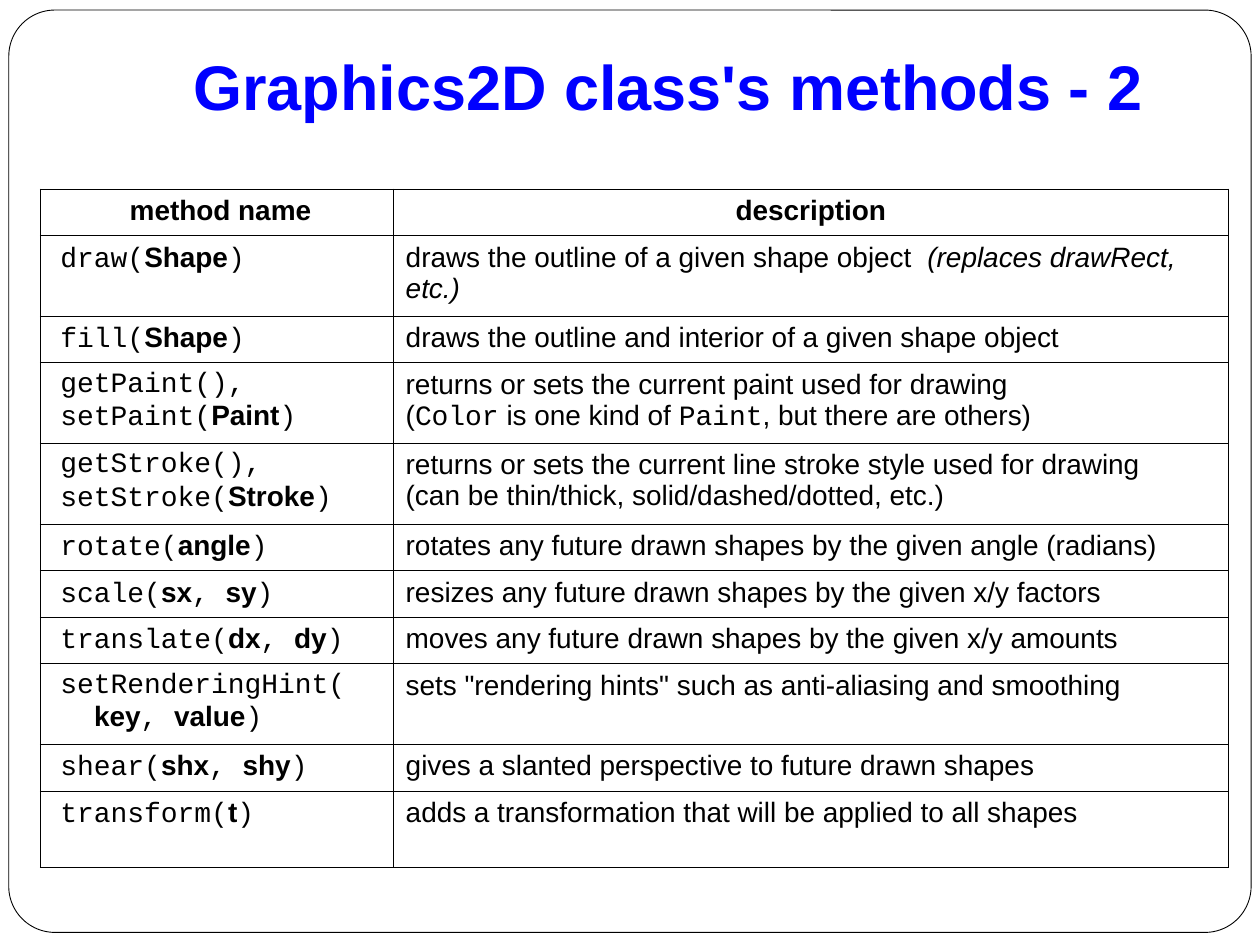
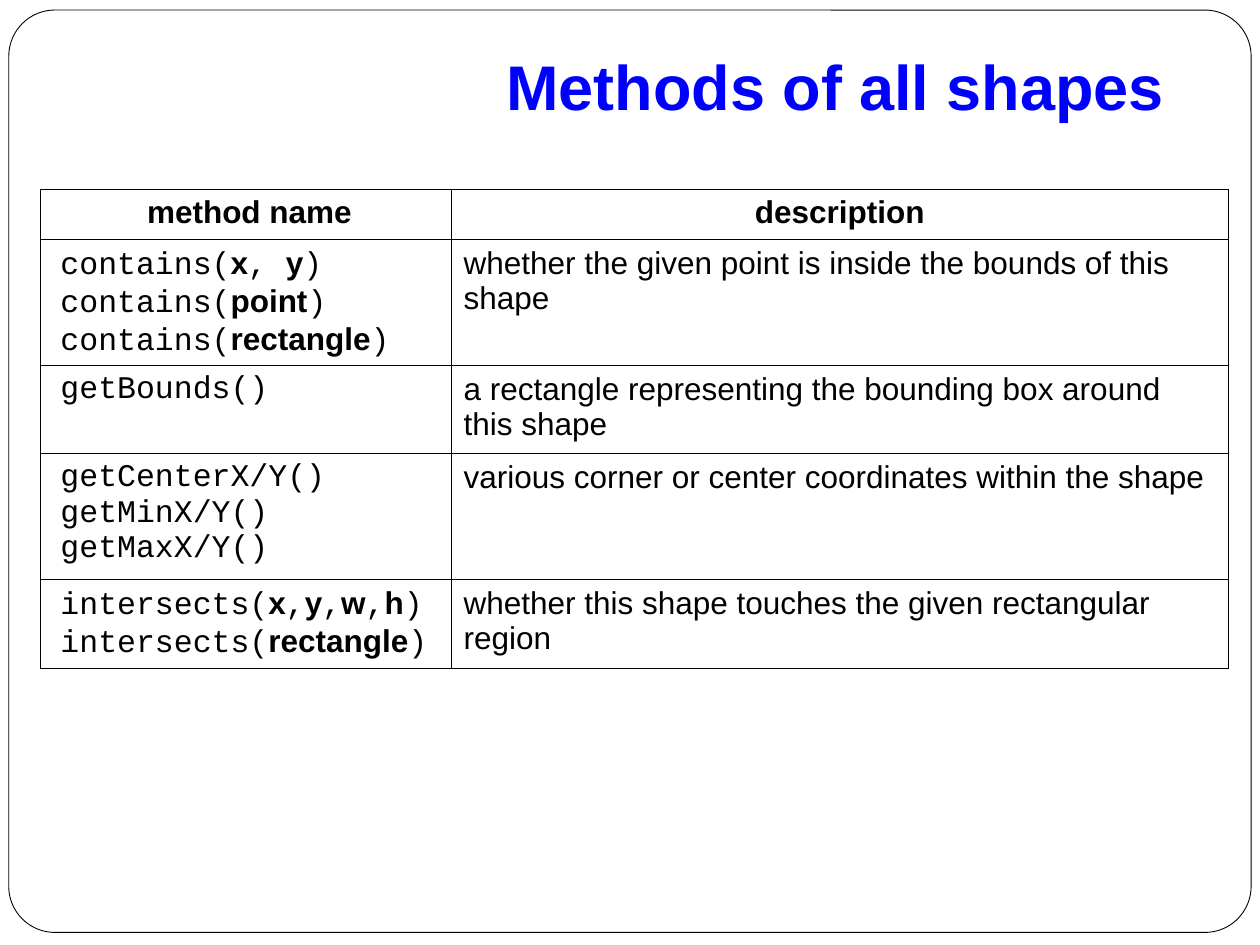
from lxml import etree
from pptx import Presentation
from pptx.dml.color import RGBColor
from pptx.enum.shapes import MSO_SHAPE
from pptx.enum.text import MSO_ANCHOR, PP_ALIGN
from pptx.oxml.ns import qn
from pptx.util import Inches, Pt

ROUNDED = MSO_SHAPE.ROUNDED_RECTANGLE
LEFT, CENTER, RIGHT = PP_ALIGN.LEFT, PP_ALIGN.CENTER, PP_ALIGN.RIGHT
BOTTOM = MSO_ANCHOR.BOTTOM

COLORS = {"paper": "FFFFFF", "ink": "000000", "title": "0000FF"}
SANS, MONO = "Arial", "Courier New"
MARKERS = {
    "*": {"font": SANS, "bold": True},
    "`": {"font": MONO},
    "~": {"italic": True},
}
HEADINGS = ("method name", "description")

GRAPHICS_METHODS = [
    ("draw(*Shape*)", "draws the outline of a given shape object  ~(replaces drawRect, etc.)~"),
    ("fill(*Shape*)", "draws the outline and interior of a given shape object"),
    ("getPaint(),\vsetPaint(*Paint*)",
     "returns or sets the current paint used for drawing\v"
     "(`Color` is one kind of `Paint`, but there are others)"),
    ("getStroke(),\vsetStroke(*Stroke*)",
     "returns or sets the current line stroke style used for drawing\v"
     "(can be thin/thick, solid/dashed/dotted, etc.)"),
    ("rotate(*angle*)", "rotates any future drawn shapes by the given angle (radians)"),
    ("scale(*sx*, *sy*)", "resizes any future drawn shapes by the given x/y factors"),
    ("translate(*dx*, *dy*)", "moves any future drawn shapes by the given x/y amounts"),
    ("setRenderingHint(\v  *key*, *value*)",
     'sets "rendering hints" such as anti-aliasing and smoothing'),
    ("shear(*shx*, *shy*)", "gives a slanted perspective to future drawn shapes"),
    ("transform(*t*)", "adds a transformation that will be applied to all shapes"),
]

SHAPE_METHODS = [
    ("contains(*x*, *y*)\ncontains(*point*)\ncontains(*rectangle*)",
     "whether the given point is inside the bounds of this shape"),
    ("getBounds()", "a rectangle representing the bounding box around this shape"),
    ("getCenterX/Y()\ngetMinX/Y()\ngetMaxX/Y()",
     "various corner or center coordinates within the shape"),
    ("intersects(*x*,*y*,*w*,*h*)\nintersects(*rectangle*)",
     "whether this shape touches the given rectangular region"),
]


def rgb(name):
    return RGBColor.from_string(COLORS[name])


def split_markers(text):
    pieces, active, piece = [], None, ""
    for letter in text:
        if letter in MARKERS:
            pieces.append((piece, active))
            active, piece = None if active else letter, ""
        else:
            piece += letter
    pieces.append((piece, active))
    return [(words, MARKERS.get(marker, {})) for words, marker in pieces if words]


def add_run(paragraph, text, size, font=SANS, color="ink", bold=False, italic=False):
    run = paragraph.add_run()
    run.text = text
    run.font.name = font
    run.font.size = Pt(size)
    run.font.bold = bold
    run.font.italic = italic
    run.font.color.rgb = rgb(color)


def write_text(frame, text, align=LEFT, indent=0, **style):
    frame.word_wrap = True
    for number, content in enumerate(text.split("\n")):
        paragraph = frame.add_paragraph() if number else frame.paragraphs[0]
        paragraph.alignment = align
        properties = paragraph._p.get_or_add_pPr()
        properties.set("marL", str(Inches(indent)))
        properties.set("indent", "0")
        for words, emphasis in split_markers(content):
            for line_number, line in enumerate(words.split("\v")):
                if line_number:
                    paragraph.add_line_break()
                    etree.SubElement(paragraph._p[-1], qn("a:rPr"),
                                     sz=str(style["size"] * 100))
                if line:
                    add_run(paragraph, line, **{**style, **emphasis})


class Deck:
    def __init__(self):
        self.presentation = Presentation()
        self.presentation.slide_width = Inches(10)
        self.presentation.slide_height = Inches(7.5)
        self.slide = None

    def add_slide(self, title, title_left):
        self.slide = self.presentation.slides.add_slide(self.presentation.slide_layouts[6])
        self.add_frame()
        self.add_title(title, title_left)

    def add_frame(self):
        shape = self.slide.shapes.add_shape(
            ROUNDED, Inches(0.07), Inches(0.08), Inches(9.86), Inches(7.32))
        shape.adjustments[0] = 0.05
        shape.shadow.inherit = False
        shape.fill.solid()
        shape.fill.fore_color.rgb = rgb("paper")
        shape.line.color.rgb = rgb("ink")
        shape.line.width = Pt(0.5)

    def add_title(self, text, left):
        box = self.slide.shapes.add_textbox(
            Inches(left), Inches(0.33), Inches(8.42), Inches(0.75))
        frame = box.text_frame
        frame.vertical_anchor = BOTTOM
        frame.margin_bottom = Inches(0.1)
        write_text(frame, text, align=RIGHT, size=36, color="title", bold=True)

    def add_method_table(self, methods, widths, heights, size):
        table = self.slide.shapes.add_table(
            len(methods) + 1, len(widths), Inches(0.32), Inches(1.5),
            Inches(sum(widths)), Inches(sum(heights))).table
        table.first_row = table.horz_banding = False
        for column, width in zip(table.columns, widths):
            column.width = Inches(width)
        for row, height in zip(table.rows, heights):
            row.height = Inches(height)
        for row_number, texts in enumerate([HEADINGS] + methods):
            for column_number, text in enumerate(texts):
                is_heading, is_method = row_number == 0, column_number == 0
                cell = table.cell(row_number, column_number)
                self.style_cell(cell)
                write_text(cell.text_frame, text,
                           align=CENTER if is_heading else LEFT,
                           indent=0.06 if is_method else 0,
                           size=size, bold=is_heading,
                           font=MONO if is_method and not is_heading else SANS)

    def style_cell(self, cell):
        properties = cell._tc.get_or_add_tcPr()
        for side in ("lnL", "lnR", "lnT", "lnB"):
            border = etree.SubElement(properties, qn(f"a:{side}"), w=str(Pt(0.45)))
            fill = etree.SubElement(border, qn("a:solidFill"))
            etree.SubElement(fill, qn("a:srgbClr"), val=COLORS["ink"])
        cell.fill.solid()
        cell.fill.fore_color.rgb = rgb("paper")


def main():
    deck = Deck()
    single, double = 0.37, 0.64
    deck.add_slide("Graphics2D class's methods - 2", 0.75)
    deck.add_method_table(
        GRAPHICS_METHODS, (2.8, 6.63),
        [single, double, single, double, double] + [single] * 3 + [double, single, 0.61],
        size=16)
    deck.add_slide("Methods of all shapes", 0.92)
    deck.add_method_table(SHAPE_METHODS, (3.26, 6.17), [0.4] + [1, 0.7] * 2, size=18)
    deck.presentation.save("out.pptx")


if __name__ == "__main__":
    main()
